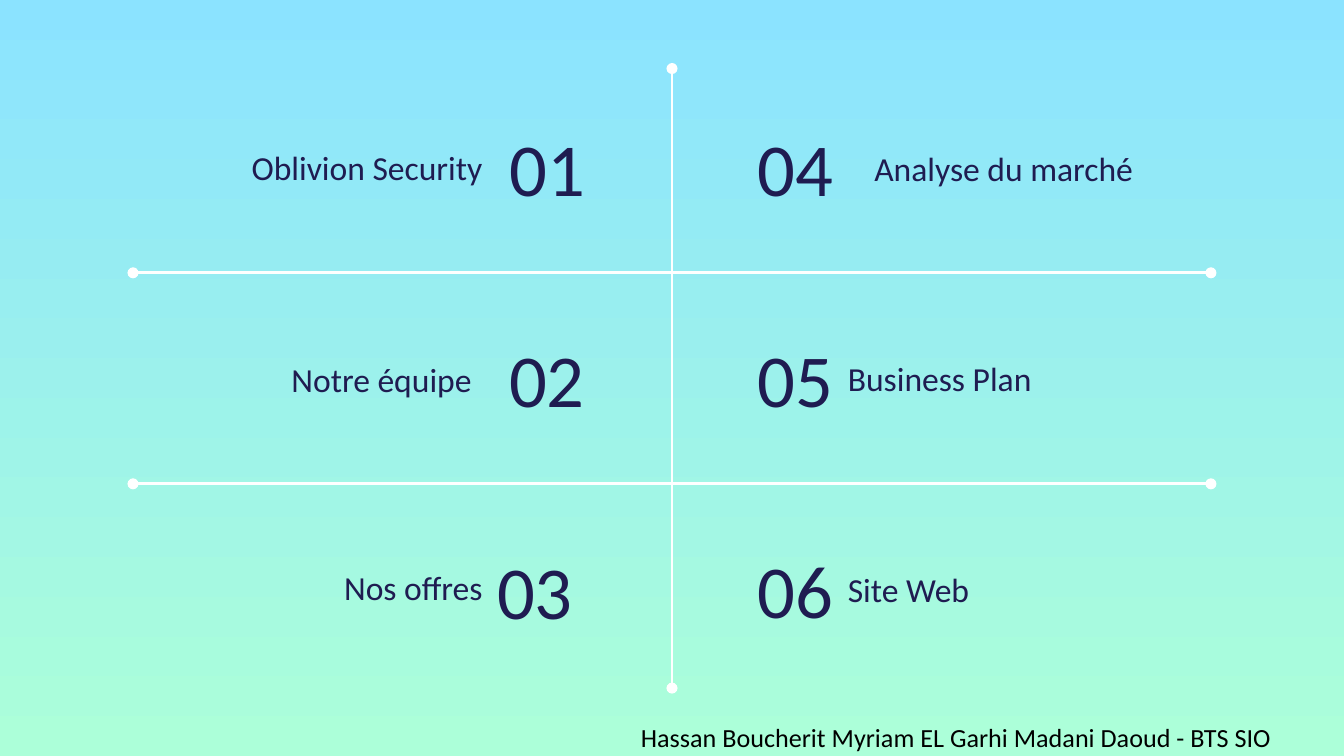
from lxml import etree
from pptx import Presentation
from pptx.dml.color import RGBColor
from pptx.enum import shapes, text
from pptx.oxml.ns import qn
from pptx.util import Inches, Pt

# Content: number, its left and top; topic, its box and alignment
LEFT, RIGHT = text.PP_ALIGN.LEFT, text.PP_ALIGN.RIGHT
AGENDA = [
    ("01", (3.69, 0.81), LEFT, "Oblivion Security", (0.71, 0.99), (2.98, 0.5), RIGHT),
    ("02", (3.69, 2.38), LEFT, "Notre équipe", (2.07, 2.57), (2.98, 0.5), LEFT),
    ("03", (3.60, 3.96), LEFT, "Nos offres", (0.17, 3.88), (3.52, 0.74), RIGHT),
    ("04", (5.00, 0.81), RIGHT, "Analyse du marché", (5.55, 1.00), (2.98, 0.5), RIGHT),
    ("05", (5.00, 2.38), RIGHT, "Business Plan", (6.21, 2.56), (2.98, 0.5), LEFT),
    ("06", (5.00, 3.95), RIGHT, "Site Web", (6.21, 4.13), (2.98, 0.5), LEFT),
]
AUTHORS = "Hassan Boucherit Myriam EL Garhi Madani Daoud - BTS SIO"
DIVIDERS = [
    (5, 0.51, 5, 5.12),
    (0.99, 2.03, 9.01, 2.03),
    (0.99, 3.6, 9.01, 3.6),
]
NUMBER_SIZE = (1.3, 0.86)

THEME = {
    "font": "Calibri",
    "ink": "1F1C51", "black": "000000", "line": "FFFFFF",
    "sky": "8BE3FF", "mint": "ACFFD9",
    "number": 40, "topic": 18, "footer": 14, "stroke": 1.5,
}


def color(name):
    return RGBColor.from_string(THEME[name])


def add_text(slide, words, position, size, *, style, align=LEFT,
             anchor=text.MSO_ANCHOR.TOP, ink="ink", holder=None):
    box = holder or slide.shapes.add_textbox(0, 0, 0, 0)
    box.left, box.top = map(Inches, position)
    box.width, box.height = map(Inches, size)
    frame = box.text_frame
    frame.word_wrap = True
    frame.auto_size = text.MSO_AUTO_SIZE.NONE
    frame.vertical_anchor = anchor
    frame.margin_left = frame.margin_right = Inches(0.1)
    frame.margin_top = frame.margin_bottom = Inches(0.1)
    paragraph = frame.paragraphs[0]
    paragraph.alignment = align
    run = paragraph.add_run()
    run.text = words
    run.font.name = THEME["font"]
    run.font.size = Pt(THEME[style])
    run.font.color.rgb = color(ink)


def add_divider(slide, ends):
    divider = slide.shapes.add_connector(
        shapes.MSO_CONNECTOR.STRAIGHT, *map(Inches, ends))
    divider.line.color.rgb = color("line")
    divider.line.width = Pt(THEME["stroke"])
    outline = divider.line._get_or_add_ln()
    for end in ("a:headEnd", "a:tailEnd"):
        etree.SubElement(outline, qn(end), type="oval")
    etree.SubElement(divider._element.spPr, qn("a:effectLst"))


def main():
    deck = Presentation()
    deck.slide_width = Inches(10)
    deck.slide_height = deck.slide_width * 9 // 16
    slide = deck.slides.add_slide(deck.slide_layouts[5])

    # Background, from sky at the top to mint at the bottom
    fill = slide.background.fill
    fill.gradient()
    fill.gradient_angle = 270
    for stop, name in zip(fill.gradient_stops, ("sky", "mint")):
        stop.color.rgb = color(name)

    # Grid lines
    for ends in DIVIDERS:
        add_divider(slide, ends)

    # Agenda; the first number takes the title placeholder
    holder = slide.shapes.title
    for number, number_at, number_align, topic, topic_at, topic_size, topic_align in AGENDA:
        add_text(slide, number, number_at, NUMBER_SIZE, style="number",
                 align=number_align, anchor=text.MSO_ANCHOR.MIDDLE, holder=holder)
        add_text(slide, topic, topic_at, topic_size, style="topic",
                 align=topic_align, anchor=text.MSO_ANCHOR.BOTTOM)
        holder = None

    # Footer
    add_text(slide, AUTHORS, (4.67, 5.27), (6, 0.44), style="footer", ink="black")

    deck.save("out.pptx")


if __name__ == "__main__":
    main()
